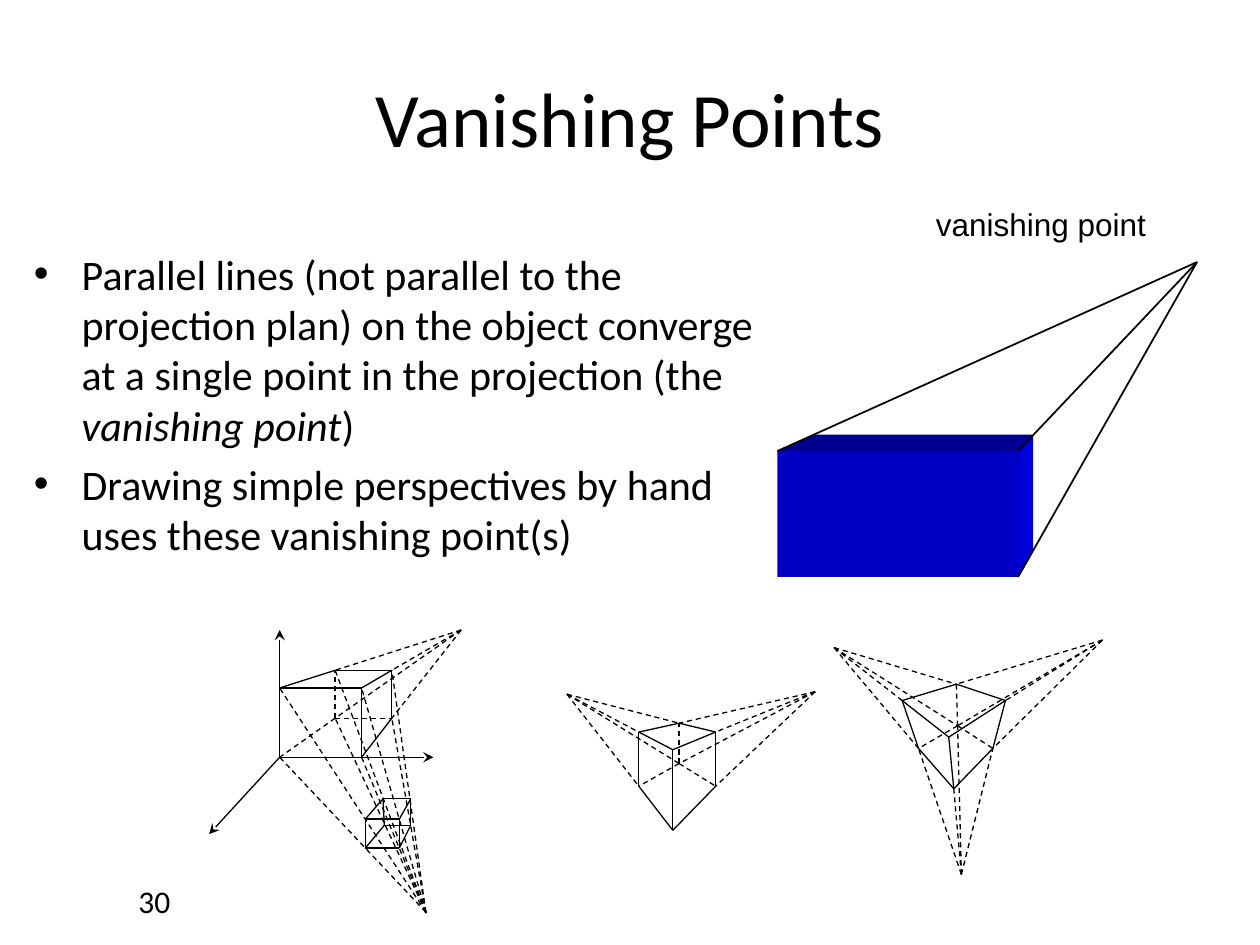
from dataclasses import dataclass

from pptx import Presentation
from pptx import util as u
from pptx.dml import color
from pptx.enum import dml, shapes, text
from pptx.oxml import ns
from pptx.oxml import xmlchemy as xc


@dataclass(frozen=True)
class Theme:
    """Colours, fonts and sizes of the page."""
    ink: str = "000000"
    front: str = "0000C4"
    top: str = "000090"
    side: str = "0000D8"
    sans: str = "Calibri"
    label: str = "Arial"
    title_size: int = 44
    body_size: int = 24
    small_size: int = 18
    ray_width: float = 1
    wire_width: float = 0.75


THEME = Theme()
BULLETS = [
    [("Parallel lines (not parallel to the projection plan) on the object "
      "converge at a single point in the projection (the ", False),
     ("vanishing point", True), (")", False)],
    [("Drawing simple perspectives by hand uses these vanishing point(s)", False)],
]

BLOCK_SOLID = "ab bc ef fg ae bf cg"
BLOCK_DASHED = "hg he hd"
BLOCK = {"a": (2.22, 5.46), "b": (2.87, 5.46), "c": (2.87, 6.01), "d": (2.22, 6.01),
         "e": (2.66, 5.32), "f": (3.11, 5.32), "g": (3.11, 5.7), "h": (2.66, 5.7)}
BLOCK_RAYS = {(3.66, 5): "efgh", (3.38, 7.24): "abcdefgh"}
AXIS_TIPS = [(3.44, 6.01), (2.22, 5), (1.66, 6.62)]

MINI_SOLID = "ab bc cd da ef fg gh he ae bf cg dh"
MINI = {"a": (2.9, 6.5), "b": (3.17, 6.5), "c": (3.17, 6.73), "d": (2.9, 6.73),
        "e": (3.04, 6.34), "f": (3.26, 6.34), "g": (3.26, 6.55), "h": (3.05, 6.55)}

CUBE_SOLID = "BL LF FR RB Ll Ff Rr lf fr"
CUBE_DASHED = "bl br bB"
TWO_POINT = {"B": (5.39, 5.74), "L": (5.07, 5.81), "F": (5.34, 5.95), "R": (5.68, 5.81),
             "b": (5.39, 6.06), "l": (5.07, 6.24), "f": (5.34, 6.59), "r": (5.68, 6.24)}
TWO_RAYS = {(4.5, 5.51): "blBL", (6.47, 5.49): "brBR"}
THREE_POINT = {"B": (7.59, 5.43), "L": (7.16, 5.56), "F": (7.53, 5.85), "R": (7.98, 5.56),
               "b": (7.6, 5.76), "l": (7.29, 5.94), "f": (7.57, 6.26), "r": (7.88, 5.94)}
THREE_RAYS = {(6.62, 5.14): "blBL", (8.75, 5.08): "brBR", (7.63, 6.94): "brlf"}


def apply(target, values):
    """Set each attribute named in a dict."""
    for name, value in values.items():
        setattr(target, name, value)


def rgb(value):
    """Turn a hex string into a colour."""
    return color.RGBColor.from_string(value)


def add_box(page, place, **frame_format):
    """Add a text box and return its frame."""
    frame = page.shapes.add_textbox(*map(u.Inches, place)).text_frame
    apply(frame, {"word_wrap": True, **frame_format})
    return frame


def add_span(para, words, size, font=THEME.sans, italic=False):
    """Add a formatted run to a paragraph."""
    span = para.add_run()
    span.text = words
    apply(span.font, {"size": u.Pt(size), "name": font, "italic": italic})
    span.font.color.rgb = rgb(THEME.ink)


def indent(para, left, first=0):
    """Set the left margin and first-line indent of a paragraph."""
    properties = para._p.get_or_add_pPr()
    properties.set("marL", str(u.Inches(left)))
    properties.set("indent", str(u.Inches(first)))
    return properties


def add_bullets(page):
    """Add the bulleted explanation."""
    frame = add_box(page, (0.17, 1.92, 5.92, 3))
    for index, spans in enumerate(BULLETS):
        para = frame.add_paragraph() if index else frame.paragraphs[0]
        para.space_before = u.Pt(THEME.body_size * 0.2)
        properties = indent(para, 0.38, -0.38)
        for tag, key, value in (("a:buFont", "typeface", THEME.label),
                                ("a:buChar", "char", "•")):
            mark = xc.OxmlElement(tag)
            mark.set(key, value)
            properties.append(mark)
        for words, italic in spans:
            add_span(para, words, THEME.body_size, italic=italic)


def add_line(group, start, end, width=THEME.wire_width, dashed=False, arrow=False):
    """Add a straight line between two points."""
    line = group.shapes.add_connector(
        shapes.MSO_CONNECTOR.STRAIGHT, *map(u.Inches, (*start, *end)))
    line.line.color.rgb = rgb(THEME.ink)
    line.line.width = u.Pt(width)
    if dashed:
        line.line.dash_style = dml.MSO_LINE.DASH
    outline = line._element.spPr.find(ns.qn("a:ln"))
    if arrow:
        tip = xc.OxmlElement("a:tailEnd")
        tip.set("type", "stealth")
        outline.append(tip)
    outline.addnext(xc.OxmlElement("a:effectLst"))


def add_wireframe(group, points, solid, dashed="", rays=None):
    """Draw a solid by its edges and the rays from its vanishing points."""
    for edges, hidden in ((solid, False), (dashed, True)):
        for first, second in edges.split():
            add_line(group, points[first], points[second], dashed=hidden)
    for vanishing, corners in (rays or {}).items():
        for corner in corners:
            add_line(group, vanishing, points[corner], dashed=True)


def paint(shape, fill):
    """Give a shape a plain fill without line or shadow."""
    shape.fill.solid()
    shape.fill.fore_color.rgb = rgb(fill)
    shape.line.fill.background()
    shape.shadow.inherit = False


def add_face(group, points, fill):
    """Add a filled polygon."""
    corners = [tuple(map(u.Inches, point)) for point in points]
    builder = group.shapes.build_freeform(*corners[0], scale=1.0)
    builder.add_line_segments(corners[1:], close=True)
    paint(builder.convert_to_shape(), fill)


def add_solid_box(page):
    """Draw the blue box with rays to its vanishing point."""
    group = page.shapes.add_group_shape()
    left, top, right, bottom = 6.17, 3.58, 8.08, 4.58
    back_left, back_top, back_right, back_bottom = 6.45, 3.45, 8.2, 4.37
    add_face(group, [(left, top), (back_left, back_top),
                     (back_right, back_top), (right, top)], THEME.top)
    add_face(group, [(right, top), (back_right, back_top),
                     (back_right, back_bottom), (right, bottom)], THEME.side)
    front = group.shapes.add_shape(
        shapes.MSO_SHAPE.RECTANGLE,
        *map(u.Inches, (left, top, right - left, bottom - top)))
    paint(front, THEME.front)
    for corner in ((right, bottom), (right, top), (left, top)):
        add_line(group, corner, (9.5, 2.08), THEME.ray_width)


def add_perspectives(page):
    """Draw the one-, two- and three-point perspectives."""
    group = page.shapes.add_group_shape()
    add_wireframe(group, TWO_POINT, CUBE_SOLID, CUBE_DASHED, TWO_RAYS)
    add_wireframe(group, THREE_POINT, CUBE_SOLID, CUBE_DASHED, THREE_RAYS)
    add_wireframe(group, BLOCK, BLOCK_SOLID, BLOCK_DASHED, BLOCK_RAYS)
    add_wireframe(group, MINI, MINI_SOLID)
    for tip in AXIS_TIPS:
        add_line(group, BLOCK["d"], tip, arrow=True)
    dot = group.shapes.add_shape(
        shapes.MSO_SHAPE.OVAL, *map(u.Inches, (3.37, 7.23, 0.02, 0.02)))
    paint(dot, THEME.ink)


def main():
    """Build and save the slide."""
    deck = Presentation()
    apply(deck, {"slide_width": u.Inches(10), "slide_height": u.Inches(7.5)})
    page = deck.slides.add_slide(deck.slide_layouts[6])
    middle = {"vertical_anchor": text.MSO_ANCHOR.MIDDLE}
    number = add_box(page, (0.5, 6.95, 2.33, 0.4), **middle).paragraphs[0]
    indent(number, 0.5)
    add_span(number, "30", THEME.small_size)
    title = add_box(page, (0.5, 0.3, 9, 1.25), **middle).paragraphs[0]
    title.alignment = text.PP_ALIGN.CENTER
    add_span(title, "Vanishing Points", THEME.title_size)
    add_bullets(page)
    add_solid_box(page)
    label = add_box(page, (7.33, 1.58, 2.43, 0.5), word_wrap=False,
                    auto_size=text.MSO_AUTO_SIZE.SHAPE_TO_FIT_TEXT)
    add_span(label.paragraphs[0], "vanishing point", THEME.small_size, THEME.label)
    add_perspectives(page)
    deck.save("out.pptx")


if __name__ == "__main__":
    main()
